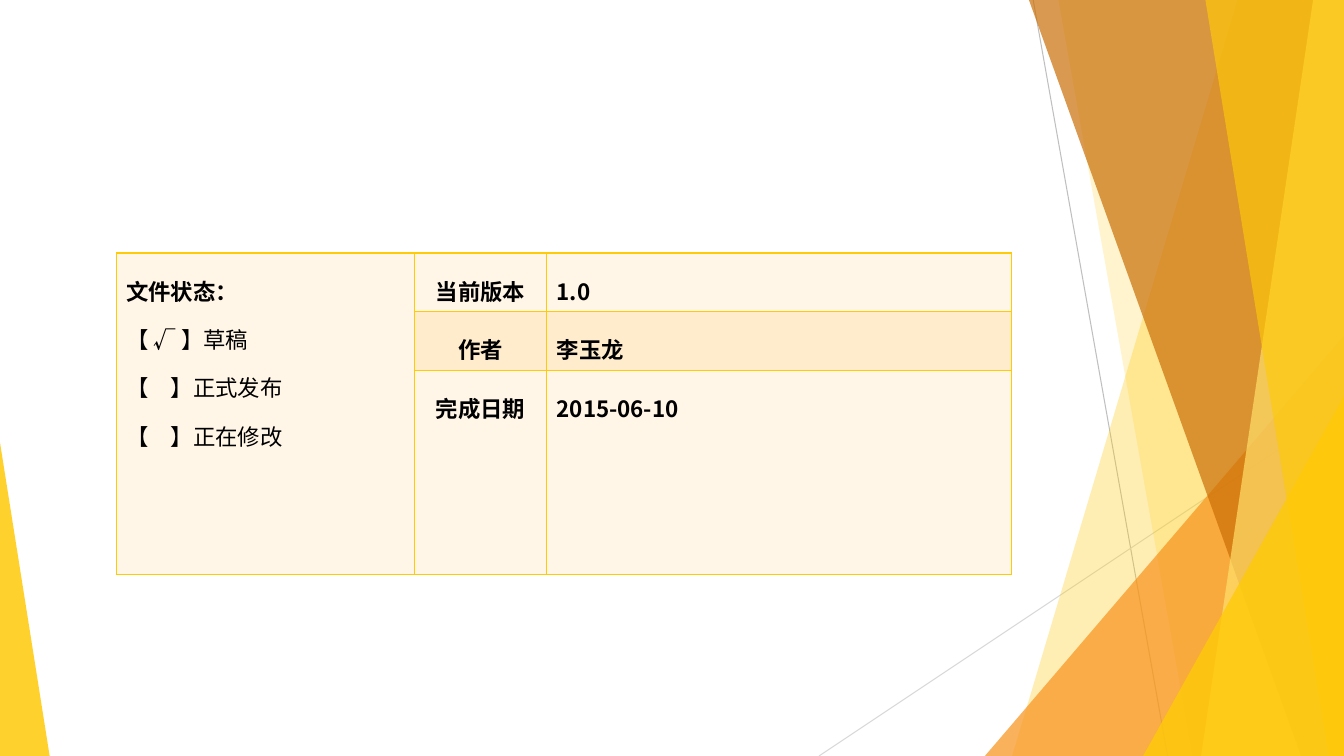
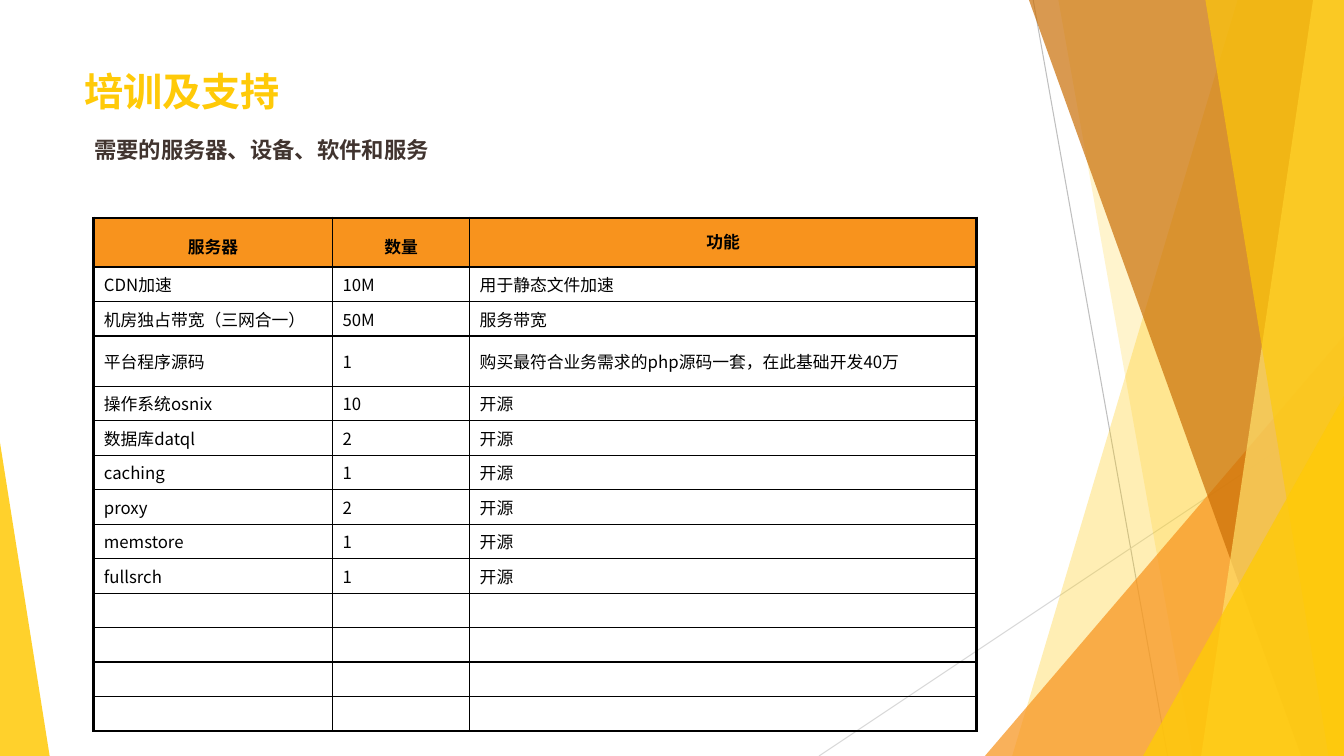
from lxml.etree import SubElement
from pptx import Presentation
from pptx.dml.color import RGBColor
from pptx.enum.shapes import MSO_CONNECTOR, MSO_SHAPE
from pptx.enum.text import MSO_ANCHOR, MSO_AUTO_SIZE, PP_ALIGN
from pptx.oxml.ns import qn
from pptx.util import Pt

W, H = 960, 540
GOLD, ORANGE, BROWN, PALE = "FFCA08", "F8931D", "CA6F06", "FFDF6B"
BLACK, INK = "000000", "41342F"
CREAM, PEACH = "FFF6E7", "FFECCC"
CJK = "Noto Sans CJK SC"
THIN, THICK = 1, 2.25
BLANK, TITLE_AND_CONTENT = 6, 1


def rgb(color):
    return RGBColor.from_string(color)


def write(tf, text, size=12, font=CJK, color=BLACK, bold=False,
          align=PP_ALIGN.LEFT, spacing=1.0, anchor=MSO_ANCHOR.TOP):
    """Text is a string, or a list of paragraphs made of (text, bold) runs."""
    paragraphs = [[(text, bold)]] if isinstance(text, str) else text
    tf.word_wrap = True
    tf.vertical_anchor = anchor
    for i, runs in enumerate(paragraphs):
        p = tf.add_paragraph() if i else tf.paragraphs[0]
        p.alignment, p.line_spacing, p.space_before = align, spacing, Pt(0)
        for words, weight in runs:
            if not words:
                # Keeps an empty cell as low as a filled one
                SubElement(p._p, qn("a:endParaRPr"), sz=str(size * 100))
                continue
            r = p.add_run()
            r.text = words
            r.font.size, r.font.bold, r.font.name = Pt(size), weight, font
            r.font.color.rgb = rgb(color)
            SubElement(r.font._element, qn("a:ea"), typeface=font)


# Background decoration
def paint(sp, color, opacity):
    sp.shadow.inherit = False
    sp.line.fill.background()
    sp.fill.solid()
    sp.fill.fore_color.rgb = rgb(color)
    clr = sp.element.spPr.find(".//" + qn("a:srgbClr"))
    SubElement(clr, qn("a:alpha"), val=str(opacity * 1000))


def add_line(s, x1, y1, x2, y2, color):
    sp = s.shapes.add_connector(MSO_CONNECTOR.STRAIGHT,
                                Pt(x1), Pt(y1), Pt(x2), Pt(y2))
    sp.line.color.rgb = rgb(color)
    sp.line.width = Pt(0.75)
    SubElement(sp.element.spPr, qn("a:effectLst"))


def add_band(s, top_x, bottom_x, color, opacity):
    """A band from its slanted left edge to the right side of the slide."""
    outline = s.shapes.build_freeform(Pt(top_x), 0)
    outline.add_line_segments([(Pt(W), 0), (Pt(W), Pt(H)), (Pt(bottom_x), Pt(H))])
    paint(outline.convert_to_shape(), color, opacity)


def add_corner(s, x, y, width, apex, color, opacity):
    """A triangle that stands on the bottom of the slide."""
    sp = s.shapes.add_shape(MSO_SHAPE.ISOSCELES_TRIANGLE,
                            Pt(x), Pt(y), Pt(width), Pt(H - y))
    sp.adjustments[0] = apex
    paint(sp, color, opacity)


def decorate_master(prs, s):
    """Draw the facets on an empty slide, then move them to the master."""
    add_line(s, 738, 0, 834, H, "BFBFBF")
    add_line(s, W, 290, 585, H, "D9D9D9")
    add_band(s, 884, 723, GOLD, 30)
    add_band(s, 756, 852, GOLD, 20)
    add_corner(s, 703.5, 240, 256.5, 1, ORANGE, 72)
    add_band(s, 735, 929.5, BROWN, 70)
    add_band(s, 938, 858, PALE, 70)
    add_band(s, 861, 949, GOLD, 65)
    add_corner(s, 816.5, 283, 143.5, 1, GOLD, 80)
    add_corner(s, 0, 316, 35.5, 0, GOLD, 85)
    tree = prs.slide_master.shapes.element
    for i, sp in enumerate(list(s.shapes)):
        sp.element.xpath(".//p:cNvPr")[0].set("id", str(100 + i))
        tree.insert(2 + i, sp.element)


# Tables
def set_borders(cell, color, widths):
    """Widths are left, right, top, bottom."""
    tcPr = cell._tc.get_or_add_tcPr()
    for i, (side, width) in enumerate(zip("LRTB", widths)):
        ln = SubElement(tcPr, qn("a:ln" + side), w=str(Pt(width)))
        fill = SubElement(ln, qn("a:solidFill"))
        SubElement(fill, qn("a:srgbClr"), val=color)
        tcPr.insert(i, ln)


def fill_cell(cell, color=None):
    if color:
        cell.fill.solid()
        cell.fill.fore_color.rgb = rgb(color)
    else:
        cell.fill.background()


def add_grid(s, x, y, widths, heights, color, outer):
    """An empty table with thin inner lines and the given outer width."""
    tbl = s.shapes.add_table(len(heights), len(widths), Pt(x), Pt(y),
                             Pt(sum(widths)), Pt(sum(heights))).table
    tbl.first_row = tbl.horz_banding = False
    for col, width in zip(tbl.columns, widths):
        col.width = Pt(width)
    for row, height in zip(tbl.rows, heights):
        row.height = Pt(height)
    last_row, last_col = len(heights) - 1, len(widths) - 1
    for i in range(len(heights)):
        for j in range(len(widths)):
            edges = (j == 0, j == last_col, i == 0, i == last_row)
            set_borders(tbl.cell(i, j), color,
                        [outer if edge else THIN for edge in edges])
    return tbl


def add_status_table(s, x, y):
    status = [
        [("文件状态：", True)],
        [("【 ", False), ("√ ", True), ("】草稿", False)],
        [("【　】正式发布", False)],
        [("【　】正在修改", False)],
    ]
    facts = [("当前版本", "1.0"), ("作者", "李玉龙"), ("完成日期", "2015-06-10")]
    tbl = add_grid(s, x, y, [213, 94.5, 332], [42, 42, 145], GOLD, THIN)
    for i, (label, value) in enumerate(facts):
        for j in range(3):
            fill_cell(tbl.cell(i, j), PEACH if i == 1 and j else CREAM)
        write(tbl.cell(i, 1).text_frame, label, size=16, bold=True,
              align=PP_ALIGN.CENTER, spacing=1.5)
        write(tbl.cell(i, 2).text_frame, value, size=16, bold=True, spacing=1.5)
    tbl.cell(0, 0).merge(tbl.cell(2, 0))
    write(tbl.cell(0, 0).text_frame, status, size=16, spacing=1.5)


def add_server_table(s, x, y):
    header = [("服务器", 1.6), ("数量", 1.5), ("功能", 1.0)]
    rows = [
        ("CDN加速", "10M", "用于静态文件加速"),
        ("机房独占带宽（三网合一）", "50M", "服务带宽"),
        ("平台程序源码", "1", "购买最符合业务需求的php源码一套，在此基础开发40万"),
        ("操作系统osnix", "10", "开源"),
        ("数据库datql", "2", "开源"),
        ("caching", "1", "开源"),
        ("proxy", "2", "开源"),
        ("memstore", "1", "开源"),
        ("fullsrch", "1", "开源"),
    ] + [("", "", "")] * 4
    heights = [35] + [24.6] * len(rows)
    heights[3] = 36
    tbl = add_grid(s, x, y, [170.5, 98, 362], heights, BLACK, THICK)
    for j, (label, spacing) in enumerate(header):
        cell = tbl.cell(0, j)
        fill_cell(cell, ORANGE)
        write(cell.text_frame, label, font="Arial", bold=True,
              align=PP_ALIGN.CENTER, spacing=spacing)
        cell.vertical_anchor = MSO_ANCHOR.MIDDLE
    for i, row in enumerate(rows, 1):
        for j, text in enumerate(row):
            cell = tbl.cell(i, j)
            fill_cell(cell)
            write(cell.text_frame, text)
            cell.vertical_anchor = MSO_ANCHOR.MIDDLE


# Title and body placeholders
def fill_placeholder(sp, x, y, width, height, text, margin_top, **style):
    sp.left, sp.top, sp.width, sp.height = Pt(x), Pt(y), Pt(width), Pt(height)
    tf = sp.text_frame
    tf.auto_size = MSO_AUTO_SIZE.NONE
    tf.margin_top = Pt(margin_top)
    write(tf, text, bold=True, **style)
    pPr = tf.paragraphs[0]._p.get_or_add_pPr()
    pPr.set("marL", "0")
    pPr.set("indent", "0")
    SubElement(pPr, qn("a:buNone"))


# Slides
def status_slide(prs):
    s = prs.slides.add_slide(prs.slide_layouts[BLANK])
    decorate_master(prs, s)
    add_status_table(s, 83, 180.7)


def support_slide(prs):
    s = prs.slides.add_slide(prs.slide_layouts[TITLE_AND_CONTENT])
    fill_placeholder(s.shapes.title, 53, 48, 677, 46, "培训及支持", 0,
                     size=28, font="Roboto", color=GOLD)
    fill_placeholder(s.placeholders[1], 60, 96.5, 677, 305,
                     "需要的服务器、设备、软件和服务", 1, size=16, color=INK)
    add_server_table(s, 67, 155.7)


def main():
    prs = Presentation()
    prs.slide_width, prs.slide_height = Pt(W), Pt(H)
    status_slide(prs)
    support_slide(prs)
    prs.save("out.pptx")


if __name__ == "__main__":
    main()
